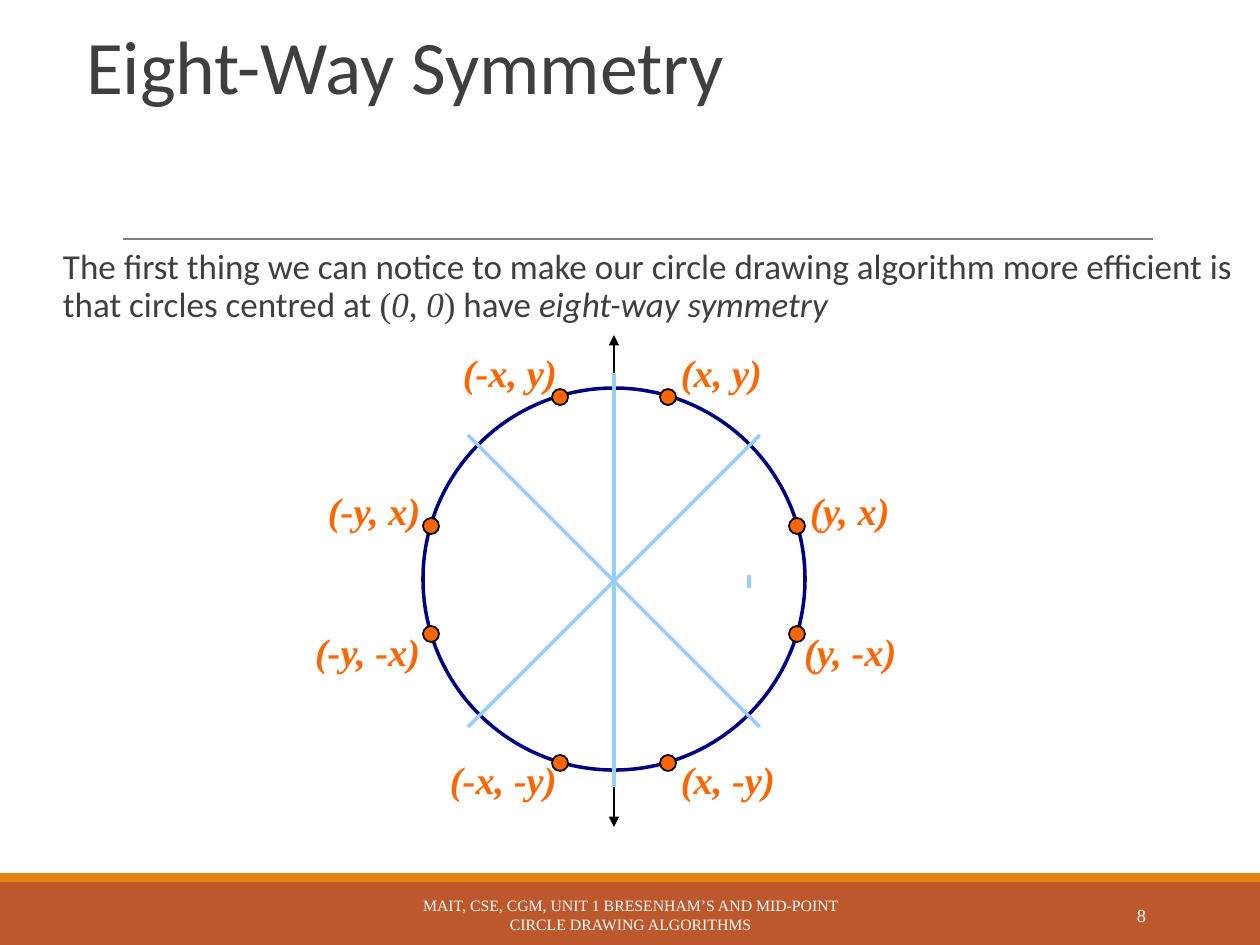
from lxml.etree import SubElement
from pptx import Presentation
from pptx.dml.color import RGBColor
from pptx.enum.shapes import MSO_CONNECTOR as Connector, MSO_SHAPE as Shape
from pptx.enum.text import MSO_ANCHOR as Anchor, PP_ALIGN as Align
from pptx.oxml.ns import qn
from pptx.util import Emu, Pt

PX_PER_INCH = 126
INK, WHITE, BLACK = "3F3F3F", "FFFFFF", "000000"
ORANGE, NAVY, SKY = "FF6600", "000080", "99CCFF"
SANS, SERIF = "Calibri", "Times New Roman"


def px(length):
    return Emu(round(length * 914400 / PX_PER_INCH))


def color(hex_text):
    return RGBColor.from_string(hex_text)


class SlideBuilder:
    """Holds the slide being drawn and the shared text style."""

    def __init__(self, page):
        self.page = page
        self.insets = (13, 6, 13, 6)

    def shape(self, kind, frame, fill=None, line=None, width=1):
        item = self.page.shapes.add_shape(kind, *map(px, frame))
        item.shadow.inherit = False
        if fill:
            item.fill.solid()
            item.fill.fore_color.rgb = color(fill)
        else:
            item.fill.background()
        if line:
            item.line.color.rgb = color(line)
            item.line.width = Pt(width)
        else:
            item.line.fill.background()

    def line(self, start, end, stroke, width, arrows=False):
        item = self.page.shapes.add_connector(
            Connector.STRAIGHT, *map(px, (*start, *end)))
        item.line.color.rgb = color(stroke)
        item.line.width = Pt(width)
        if arrows:
            outline = item.line._get_or_add_ln()
            for tag in ("a:headEnd", "a:tailEnd"):
                SubElement(outline, qn(tag), type="triangle")
        SubElement(item._element.spPr, qn("a:effectLst"))

    def text(self, frame, spans, size, ink, bold=False, align=Align.LEFT,
             anchor=Anchor.TOP, spacing=1.0, insets=None):
        """Add one paragraph; spans are (words, font, italic)."""
        box = self.page.shapes.add_textbox(*map(px, frame)).text_frame
        box.word_wrap = True
        box.vertical_anchor = anchor
        (box.margin_left, box.margin_top, box.margin_right,
         box.margin_bottom) = map(px, insets or self.insets)
        para = box.paragraphs[0]
        para.alignment = align
        para.line_spacing = spacing
        for words, font, italic in spans:
            span = para.add_run()
            span.text = words
            span.font.name = font
            span.font.size = Pt(size)
            span.font.bold = bold
            span.font.italic = italic
            span.font.color.rgb = color(ink)


def draw_frame(slide):
    slide.shape(Shape.RECTANGLE, (0, 882, 1260, 63), "BD582C")
    slide.shape(Shape.RECTANGLE, (0, 873, 1260, 9), "E48312")
    slide.line((123, 239), (1153, 239), "7F7F7F", 0.75)
    slide.text((73, 18, 1040, 98), [("Eight-Way Symmetry", SANS, False)],
               43.2, INK, anchor=Anchor.BOTTOM, spacing=0.85)
    slide.text((63, 243, 1197, 761), [
        ("The first thing we can notice to make our circle drawing algorithm "
         "more efficient is that circles centred at ", SANS, False),
        ("(", SERIF, False),
        ("0, 0", SERIF, True),
        (")", SERIF, False),
        (" have ", SANS, False),
        ("eight-way symmetry", SANS, True),
    ], 20, INK, spacing=0.9, insets=(0, 6, 0, 6))


def draw_circle(slide):
    center_x, center_y, radius, dot = 614, 580, 191, 16
    slide.line((center_x, 827), (center_x, 335), BLACK, 1, arrows=True)
    slide.shape(Shape.OVAL, (center_x - radius, center_y - radius - 1,
                             2 * radius, 2 * radius), line=NAVY, width=2)

    near, far = 54, 183
    for across, down in ((near, far), (far, near)):
        for side_x in (1, -1):
            for side_y in (-1, 1):
                slide.shape(Shape.OVAL,
                            (center_x + side_x * across - dot // 2,
                             center_y + side_y * down - dot // 2, dot, dot),
                            ORANGE, BLACK)

    labels = [
        ("(x, y)", 668, 343, 107), ("(y, x)", 797, 481, 107),
        ("(y, -x)", 791, 622, 120), ("(x, -y)", 668, 750, 120),
        ("(-x, -y)", 437, 750, 132), ("(-y, -x)", 302, 622, 132),
        ("(-y, x)", 315, 481, 120), ("(-x, y)", 450, 343, 120),
    ]
    for words, left, top, width in labels:
        # No right inset, so that each label keeps to one line.
        slide.text((left, top, width, 59), [(words, SERIF, True)], 22,
                   ORANGE, bold=True, insets=(13, 6, 0, 6))

    reach = 146
    symmetry_lines = [
        ((center_x - reach, center_y + reach + 1),
         (center_x + reach, center_y - reach + 1)),
        ((749, 575), (749, 588)),
        ((center_x + reach, center_y + reach + 1),
         (center_x - reach, center_y - reach + 1)),
        ((center_x, 784), (center_x, 373)),
        ((center_x, 787), (center_x, 377)),
    ]
    for start, end in symmetry_lines:
        slide.line(start, end, SKY, 2)


def draw_footer(slide):
    slide.text((381, 890, 499, 50), [
        ("MAIT, CSE, CGM, UNIT 1 BRESENHAM’S AND MID-POINT CIRCLE DRAWING "
         "ALGORITHMS", SERIF, False)],
        9, WHITE, align=Align.CENTER, anchor=Anchor.MIDDLE)
    slide.text((1023, 890, 136, 50), [("8", SERIF, False)], 10.5, WHITE,
               align=Align.RIGHT, anchor=Anchor.MIDDLE)


def main():
    deck = Presentation()
    deck.slide_width, deck.slide_height = px(1260), px(945)
    slide = SlideBuilder(deck.slides.add_slide(deck.slide_layouts[6]))
    draw_frame(slide)
    draw_circle(slide)
    draw_footer(slide)
    deck.save("out.pptx")


if __name__ == "__main__":
    main()
